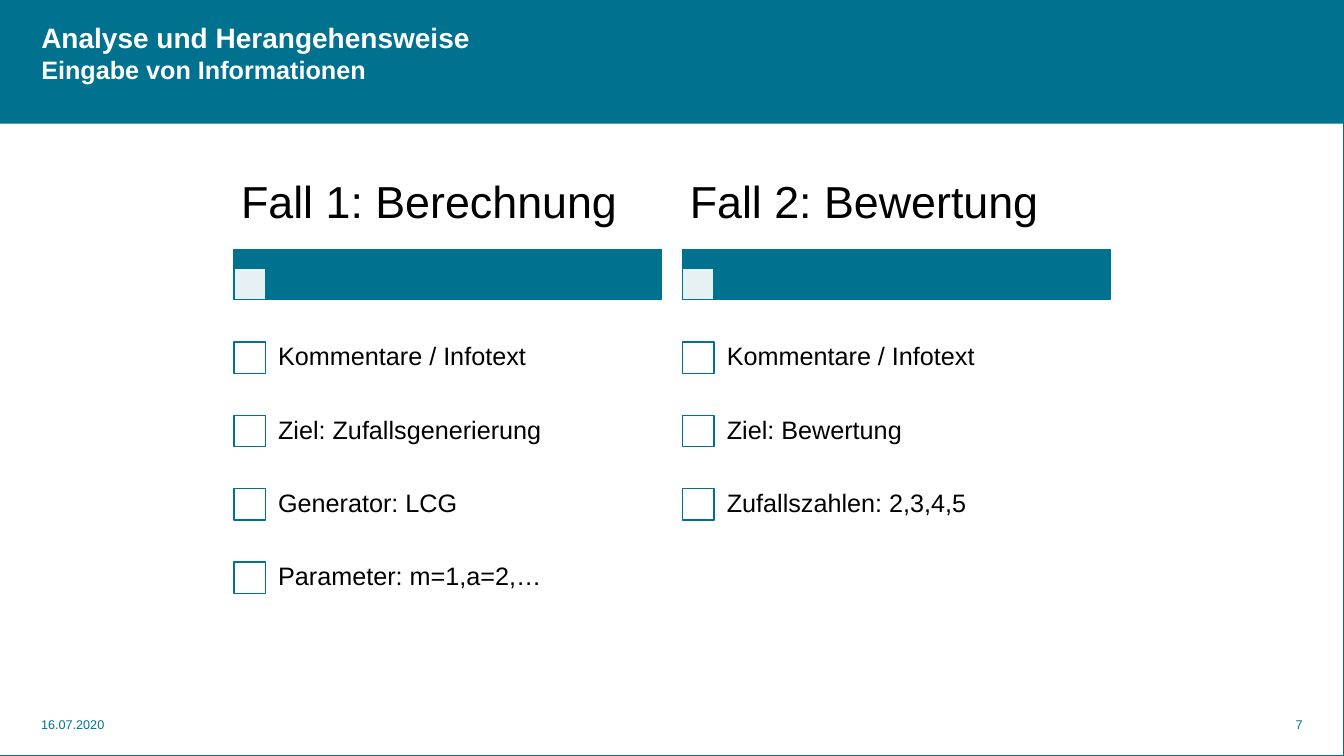
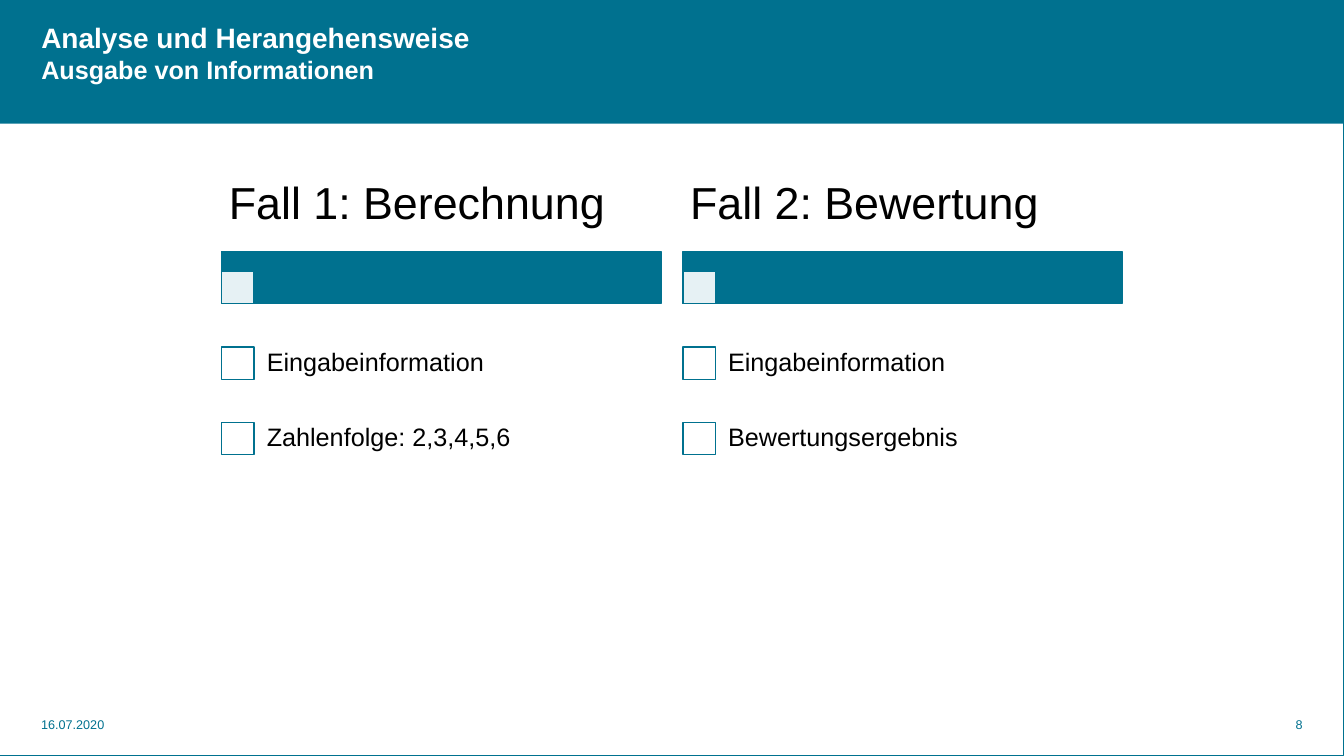
from lxml import etree
from pptx import Presentation
from pptx.dml.color import RGBColor
from pptx.enum.shapes import MSO_SHAPE as SHAPE
from pptx.enum.text import MSO_ANCHOR as ANCHOR, MSO_AUTO_SIZE as AUTO, PP_ALIGN as ALIGN
from pptx.oxml.ns import qn
from pptx.util import Cm, Pt

# Shared look, lengths in cm
FONT = "Arial"
TEAL, WHITE, BLACK = "00718F", "FFFFFF", "000000"
SLIDE_W, SLIDE_H = 33.87, 19.05
MARGIN = 1.04
BAND_H = 3.12
LIST_TOP = 4.01
DATE = "16.07.2020"
TITLE = "Analyse und Herangehensweise"

# Proportions of a list column, as shares of its width
GAP, HEADING_H, BAR_H, BOX, ROW_H, INDENT = 0.05, 0.211, 0.118, 0.0735, 0.1715, 0.07

# Number, subtitle, column width, columns as (heading, items)
SLIDES = [
    (7, "Eingabe von Informationen", 10.77, [
        ("Fall 1: Berechnung", ["Kommentare / Infotext", "Ziel: Zufallsgenerierung",
                                "Generator: LCG", "Parameter: m=1,a=2,…"]),
        ("Fall 2: Bewertung", ["Kommentare / Infotext", "Ziel: Bewertung",
                               "Zufallszahlen: 2,3,4,5"]),
    ]),
    (8, "Ausgabe von Informationen", 11.07, [
        ("Fall 1: Berechnung", ["Eingabeinformation", "Zahlenfolge: 2,3,4,5,6"]),
        ("Fall 2: Bewertung", ["Eingabeinformation", "Bewertungsergebnis"]),
    ]),
]


def rgb(color):
    return RGBColor.from_string(color)


def format_run(r, size, color, bold=False):
    r.font.name = FONT
    r.font.size = Pt(size)
    r.font.bold = bold
    r.font.color.rgb = rgb(color)


def set_frame(tf, inset_x, inset_y, anchor):
    tf.word_wrap = True
    tf.auto_size = AUTO.NONE
    tf.vertical_anchor = anchor
    tf.margin_left = tf.margin_right = Cm(inset_x)
    tf.margin_top = tf.margin_bottom = Cm(inset_y)


def add_rect(s, x, y, w, h, fill=None, line=None, line_pt=1, opacity=None):
    sp = s.shapes.add_shape(SHAPE.RECTANGLE, Cm(x), Cm(y), Cm(w), Cm(h))
    sp.shadow.inherit = False
    if fill:
        sp.fill.solid()
        sp.fill.fore_color.rgb = rgb(fill)
    else:
        sp.fill.background()
    if line:
        sp.line.color.rgb = rgb(line)
        sp.line.width = Pt(line_pt)
    else:
        sp.line.fill.background()
    if opacity:
        color = sp._element.spPr.find(f"{qn('a:solidFill')}/{qn('a:srgbClr')}")
        etree.SubElement(color, qn("a:alpha"), val=str(opacity * 1000))
    return sp


def add_text(s, text, x, y, w, h, size, color=BLACK, inset_x=0, inset_y=0,
             anchor=ANCHOR.MIDDLE, align=ALIGN.LEFT, spacing=0.9):
    tf = s.shapes.add_textbox(Cm(x), Cm(y), Cm(w), Cm(h)).text_frame
    set_frame(tf, inset_x, inset_y, anchor)
    p = tf.paragraphs[0]
    p.text = text
    p.alignment = align
    p.line_spacing = spacing
    format_run(p.runs[0], size, color)


def add_frame_to_layout(s):
    """Header band and slide border, moved behind all content of the layout."""
    band = add_rect(s, 0, 0, SLIDE_W, BAND_H, fill=TEAL)
    border = add_rect(s, 0, 0, SLIDE_W, SLIDE_H, line=TEAL, line_pt=0.75)
    tree = s.slide_layout.shapes._spTree
    for i, sp in enumerate((band, border)):
        tree.insert(2 + i, sp._element)


def add_title(s, subtitle):
    title = s.shapes.title
    title.left, title.top, title.width, title.height = Cm(MARGIN), Cm(0.51), Cm(28), Cm(1.63)
    tf = title.text_frame
    set_frame(tf, 0, 0, ANCHOR.TOP)
    tf.text = f"{TITLE}\v{subtitle}"
    p = tf.paragraphs[0]
    p.alignment = ALIGN.LEFT
    for r, size in zip(p.runs, (20, 18)):
        format_run(r, size, WHITE, bold=True)


def add_footer(s, number):
    w, h, y = 2.1, 0.38, 18.06
    style = dict(size=9, color=TEAL, anchor=ANCHOR.TOP, spacing=1)
    add_text(s, DATE, MARGIN, y, w, h, **style)
    add_text(s, str(number), SLIDE_W - MARGIN - w, y, w, h, align=ALIGN.RIGHT, **style)


def add_column(s, x, w, heading, items):
    box, row_h, indent = BOX * w, ROW_H * w, INDENT * w
    bar_top = LIST_TOP + HEADING_H * w
    bar_bottom = bar_top + BAR_H * w

    # Heading over a bar with a pale square in its lower corner
    add_rect(s, x, bar_top, w, BAR_H * w, TEAL, TEAL)
    add_rect(s, x, bar_bottom - box, box, box, WHITE, TEAL, opacity=90)
    add_text(s, heading, x, LIST_TOP, w, HEADING_H * w, 32, inset_x=0.18, inset_y=0.1)

    # One checkbox and label per row
    for i, item in enumerate(items):
        y = bar_bottom + GAP * w + i * row_h
        add_rect(s, x, y + (row_h - box) / 2, box, box, WHITE, TEAL)
        add_text(s, item, x + indent, y, w - indent, row_h, 18, inset_x=0.36, inset_y=0.36)


def main():
    prs = Presentation()
    prs.slide_width, prs.slide_height = Cm(SLIDE_W), Cm(SLIDE_H)
    layout = prs.slide_layouts[5]
    for i, (number, subtitle, w, columns) in enumerate(SLIDES):
        s = prs.slides.add_slide(layout)
        if i == 0:
            add_frame_to_layout(s)
        add_title(s, subtitle)
        add_footer(s, number)
        pitch = w * (1 + GAP)
        left = (SLIDE_W - pitch * (len(columns) - 1) - w) / 2
        for col, (heading, items) in enumerate(columns):
            add_column(s, left + col * pitch, w, heading, items)
    prs.save("out.pptx")


if __name__ == "__main__":
    main()
